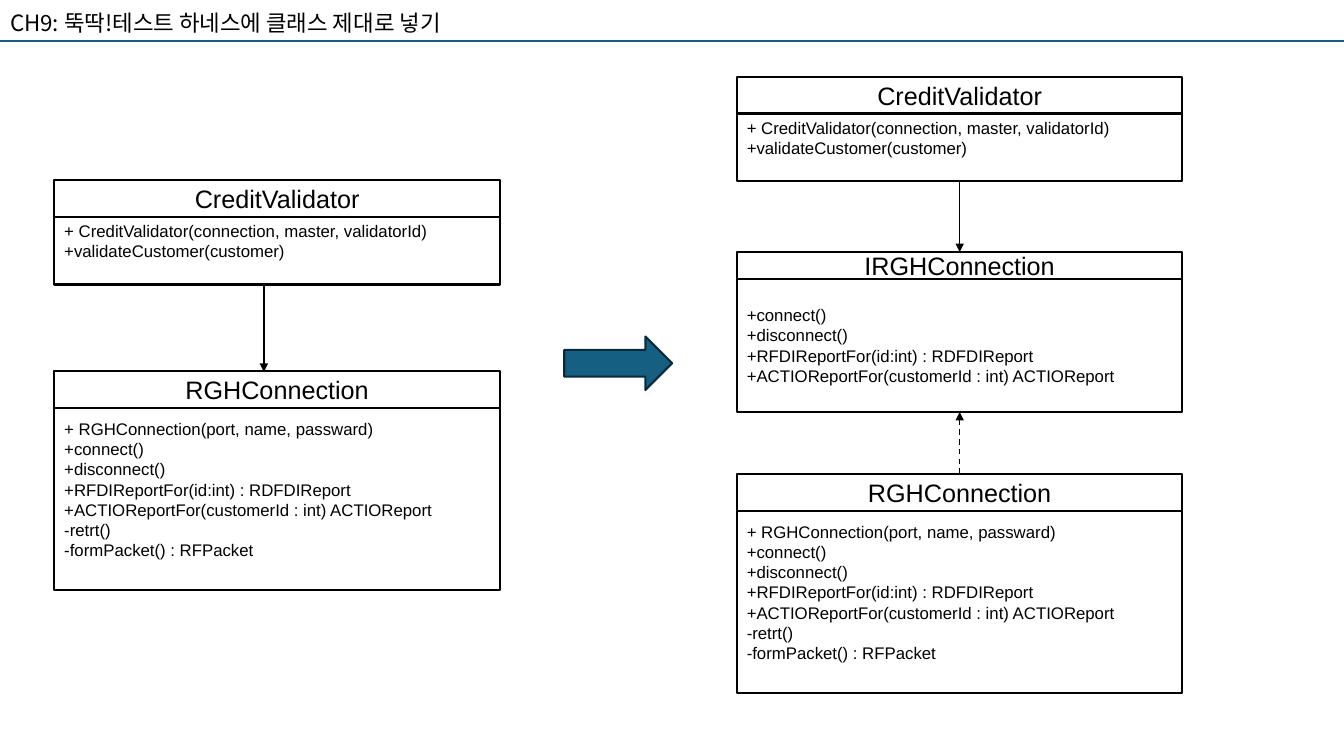
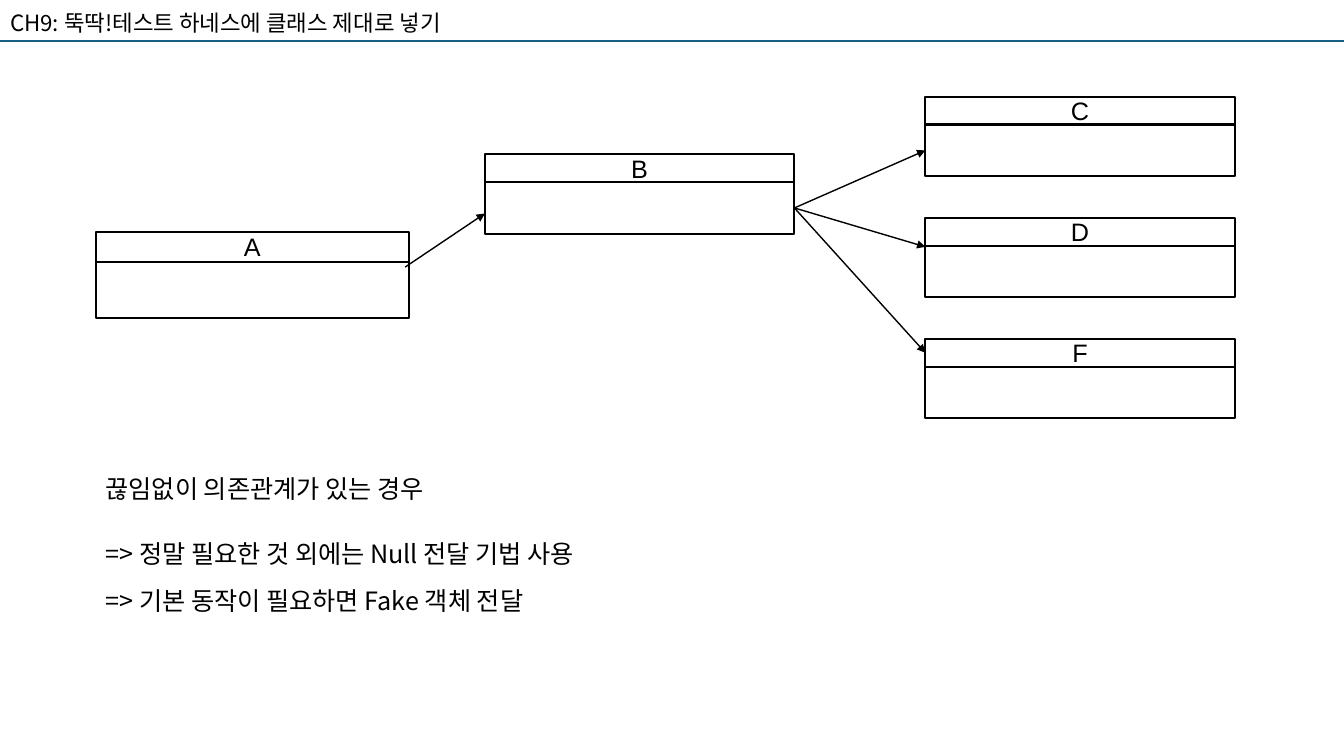
from lxml.etree import SubElement
from pptx import Presentation
from pptx.dml.color import RGBColor
from pptx.enum.dml import MSO_LINE as DASH
from pptx.enum.shapes import MSO_CONNECTOR as CONNECTOR, MSO_SHAPE as SHAPE
from pptx.enum.text import MSO_ANCHOR as ANCHOR, MSO_AUTO_SIZE as AUTO_SIZE, PP_ALIGN as ALIGN
from pptx.oxml.ns import qn
from pptx.util import Cm, Pt

BLACK, WHITE, TEAL, DARK_TEAL = "000000", "FFFFFF", "156082", "092A39"
LATIN, KOREAN = "Arial", "Noto Sans CJK KR"
TITLE = "CH9: 뚝딱!테스트 하네스에 클래스 제대로 넣기"
TOP, LEFT, BOTTOM, RIGHT = range(4)
HEAD, BODY = range(2)
INSET, LINE_HEIGHT = 0.13, 0.49


def write(paragraph, text, size, font):
    run = paragraph.add_run()
    run.text = text
    run.font.size = Pt(size)
    run.font.name = font
    run.font.color.rgb = RGBColor.from_string(BLACK)
    if font == KOREAN:
        SubElement(run.font._element, qn("a:ea")).set("typeface", font)


def paint(shape, line, width, fill=None):
    """Set line and fill, and switch the shadow off."""
    shape.line.color.rgb = RGBColor.from_string(line)
    shape.line.width = Pt(width)
    if fill:
        shape.fill.solid()
        shape.fill.fore_color.rgb = RGBColor.from_string(fill)
    SubElement(shape.element.spPr, qn("a:effectLst"))


validator = ["+ CreditValidator(connection, master, validatorId)",
             "+validateCustomer(customer)"]
interface = ["+connect()", "+disconnect()", "+RFDIReportFor(id:int) : RDFDIReport",
             "+ACTIOReportFor(customerId : int) ACTIOReport"]
connection = ["+ RGHConnection(port, name, passward)", *interface,
              "-retrt()", "-formPacket() : RFPacket"]

# Class: name, left, top, width, head height, body height, members, spare lines below
before_x, after_x, uml_width = 1.37, 18.57, 11.23
extract_classes = [
    ("RGHConnection", before_x, 9.35, uml_width, 0.93, 4.6, connection, 1),
    ("CreditValidator", before_x, 4.54, uml_width, 0.93, 1.7, validator, 1),
    ("RGHConnection", after_x, 11.94, uml_width, 0.93, 4.6, connection, 1),
    ("CreditValidator", after_x, 1.93, uml_width, 0.93, 1.7, validator, 1),
    ("IRGHConnection", after_x, 6.35, uml_width, 0.68, 3.35, interface, 0),
]
# Arrow: start, end, dashed; an end is a point or (class index, part, side)
extract_arrows = [
    ((6.65, 7.14), (6.65, 9.37), False),
    ((3, BODY, BOTTOM), (4, HEAD, TOP), False),
    ((2, HEAD, TOP), (4, BODY, BOTTOM), True),
]

target_x = 23.32
chain_classes = [
    ("A", 2.41, 5.84, 7.9, 0.76, 1.42, [], 0),
    ("B", 12.22, 3.89, 7.8, 0.7, 1.3, [], 0),
    *[(name, target_x, 2.44 + 3.05 * row, 7.8, 0.7, 1.3, [], 0)
      for row, name in enumerate("CDF")],
]
chain_arrows = [
    ((10.21, 6.73), (12.22, 5.38), False),
    ((1, BODY, RIGHT), (2, BODY, LEFT), False),
    ((1, BODY, RIGHT), (target_x, 6.22), False),
    ((1, BODY, RIGHT), (4, HEAD, LEFT), False),
]

prs = Presentation()
prs.slide_width, prs.slide_height = Cm(33.87), Cm(19.05)
slides = []

for classes, arrows in [(extract_classes, extract_arrows), (chain_classes, chain_arrows)]:
    slide = prs.slides.add_slide(prs.slide_layouts[5])
    slides.append(slide)

    title = slide.shapes.title
    title.left, title.top, title.width, title.height = Cm(0), Cm(0.1), Cm(12.57), Cm(0.94)
    title.text_frame.word_wrap = False
    title.text_frame.auto_size = AUTO_SIZE.SHAPE_TO_FIT_TEXT
    title.text_frame.vertical_anchor = ANCHOR.TOP
    title.text_frame.paragraphs[0].alignment = ALIGN.LEFT
    write(title.text_frame.paragraphs[0], TITLE, 16, KOREAN)

    rule = slide.shapes.add_connector(CONNECTOR.STRAIGHT, 0, Cm(1.04), prs.slide_width, Cm(1.04))
    paint(rule, TEAL, 1.5)

    boxes = []
    for name, left, top, width, head_height, body_height, members, spare in classes:
        group = slide.shapes.add_group_shape()
        head = group.shapes.add_shape(
            SHAPE.RECTANGLE, Cm(left), Cm(top), Cm(width), Cm(head_height))
        body = group.shapes.add_shape(
            SHAPE.RECTANGLE, Cm(left), Cm(top + head_height), Cm(width), Cm(body_height))
        for part in (head, body):
            paint(part, BLACK, 1.5, WHITE)
            part.text_frame.vertical_anchor = ANCHOR.MIDDLE
        head.text_frame.paragraphs[0].alignment = ALIGN.CENTER
        write(head.text_frame.paragraphs[0], name, 18, LATIN)
        body.text_frame.margin_bottom = Cm(INSET + spare * LINE_HEIGHT)
        for index, member in enumerate(members):
            paragraph = body.text_frame.add_paragraph() if index else body.text_frame.paragraphs[0]
            paragraph.alignment = ALIGN.LEFT
            write(paragraph, member, 12, LATIN)
        boxes.append((head, body))

    for start, end, dashed in arrows:
        arrow = slide.shapes.add_connector(CONNECTOR.STRAIGHT, 0, 0, 0, 0)
        if len(start) == 3:
            arrow.begin_connect(boxes[start[0]][start[1]], start[2])
        else:
            arrow.begin_x, arrow.begin_y = Cm(start[0]), Cm(start[1])
        if len(end) == 3:
            arrow.end_connect(boxes[end[0]][end[1]], end[2])
        else:
            arrow.end_x, arrow.end_y = Cm(end[0]), Cm(end[1])
        paint(arrow, BLACK, 1)
        if dashed:
            arrow.line.dash_style = DASH.DASH
        SubElement(arrow.line._get_or_add_ln(), qn("a:tailEnd")).set("type", "triangle")

extract_slide, chain_slide = slides

becomes = extract_slide.shapes.add_shape(
    SHAPE.RIGHT_ARROW, Cm(14.22), Cm(8.48), Cm(2.72), Cm(1.35))
paint(becomes, DARK_TEAL, 1.5, TEAL)

for text, top, width in [
    ("끊임없이 의존관계가 있는 경우", 11.81, 9.53),
    ("=> 정말 필요한 것 외에는 Null 전달 기법 사용", 13.44, 14.02),
    ("=> 기본 동작이 필요하면 Fake 객체 전달", 14.63, 12.4),
]:
    advice = chain_slide.shapes.add_textbox(Cm(2.41), Cm(top), Cm(width), Cm(1.02))
    advice.text_frame.word_wrap = False
    advice.text_frame.auto_size = AUTO_SIZE.SHAPE_TO_FIT_TEXT
    write(advice.text_frame.paragraphs[0], text, 18, KOREAN)

prs.save("out.pptx")
